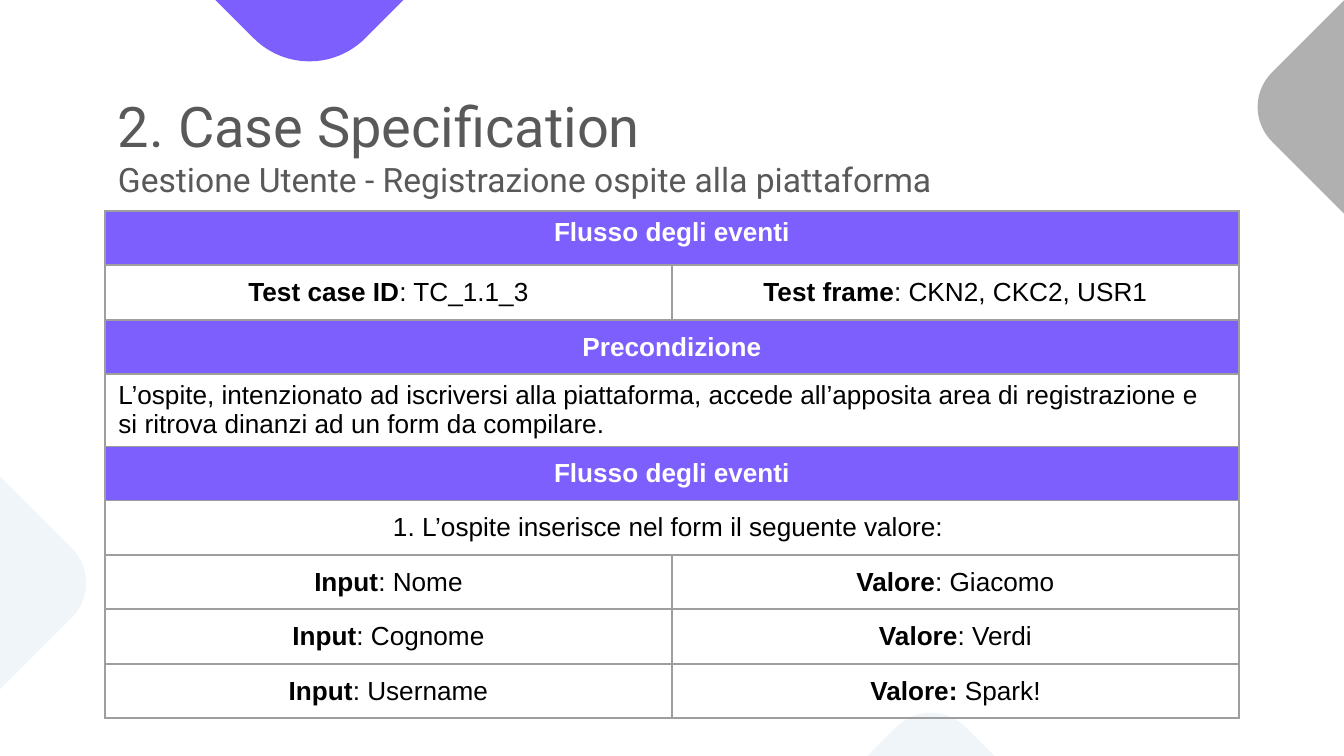
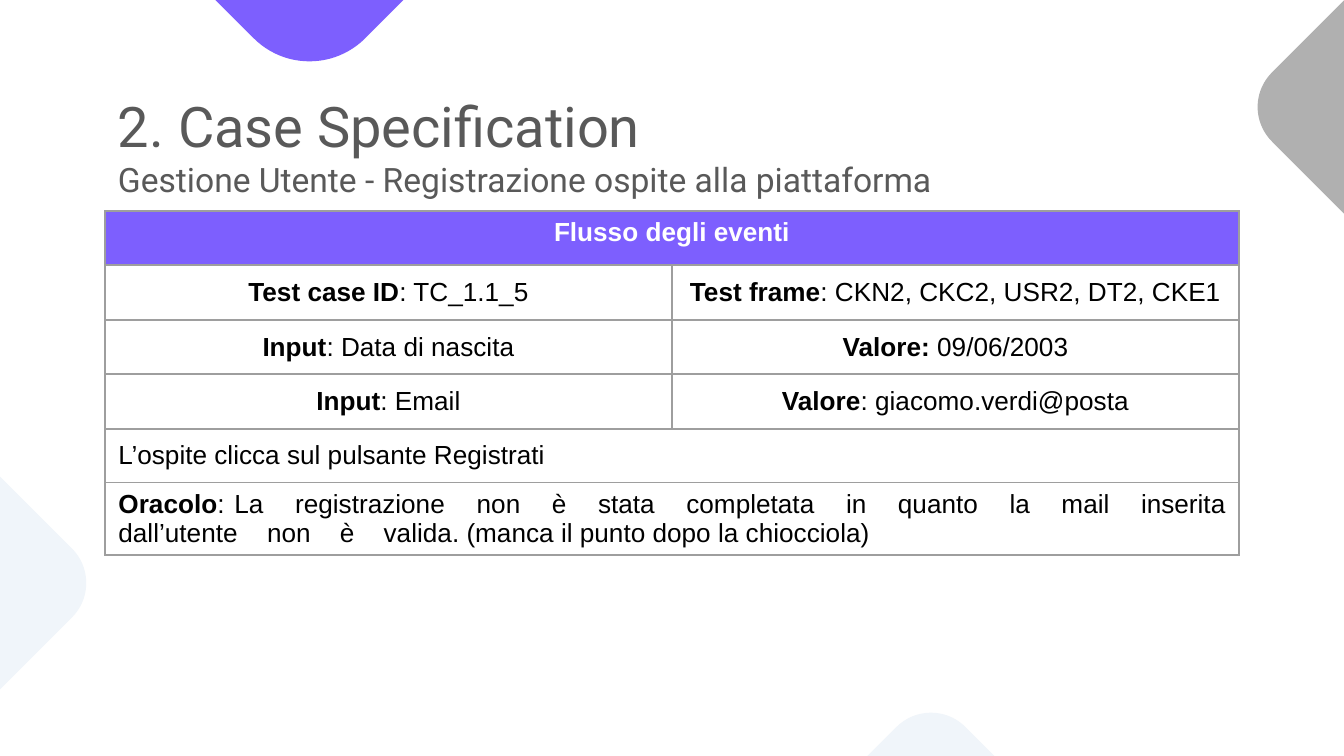
from lxml.etree import SubElement
from pptx import Presentation
from pptx.dml.color import RGBColor
from pptx.enum.shapes import MSO_SHAPE as Preset
from pptx.enum.text import MSO_ANCHOR as Anchor, MSO_AUTO_SIZE as AutoSize, PP_ALIGN as Align
from pptx.oxml.ns import qn
from pptx.util import Pt

SCALE = 914400 / 134.4
PURPLE = RGBColor(0x7D, 0x5F, 0xFE)
GREY = RGBColor(0xB0, 0xB0, 0xB0)
PALE = RGBColor(0xF0, 0xF5, 0xFA)
TITLE_GREY = RGBColor(0x59, 0x59, 0x59)
BORDER = RGBColor(0x9E, 0x9E, 0x9E)
WHITE = RGBColor(0xFF, 0xFF, 0xFF)
BLACK = RGBColor(0, 0, 0)

LEFT, TITLE_TOP, TABLE_TOP = 105, 79, 211
COLUMN_WIDTH = 567
TITLE_LINES = (("2. Case Speciﬁcation ", 30),
               ("Gestione Utente - Registrazione ospite alla piattaforma", 18))
DIAMONDS = ((73, -477, 473, PURPLE), (1298, -39, 292, GREY),
            (-246, 437, 292, PALE), (785, 753, 292, PALE))

BAND, CENTER, PLAIN, JUSTIFIED = "band", "center", "plain", "justified"
ALIGNMENTS = {BAND: Align.CENTER, CENTER: Align.CENTER,
              PLAIN: Align.LEFT, JUSTIFIED: Align.JUSTIFY}
SPACED_WORDS = ("registrazione non è stata completata in quanto la mail inserita "
                "dall’utente non è valida.")

TABLES = (
    (
        (BAND, ("Flusso degli eventi", "")),
        (CENTER, ("Test case ID", ": TC_1.1_3"), ("Test frame", ": CKN2, CKC2, USR1")),
        (BAND, ("Precondizione", "")),
        (PLAIN, ("", "L’ospite, intenzionato ad iscriversi alla piattaforma, accede all’apposita "
                     "area di registrazione e si ritrova dinanzi ad un form da compilare.")),
        (BAND, ("Flusso degli eventi", "")),
        (CENTER, ("", "1. L’ospite inserisce nel form il seguente valore: ")),
        (CENTER, ("Input", ": Nome"), ("Valore", ": Giacomo")),
        (CENTER, ("Input", ": Cognome"), ("Valore", ": Verdi")),
        (CENTER, ("Input", ": Username"), ("Valore: ", "Spark!")),
    ),
    (
        (BAND, ("Flusso degli eventi", "")),
        (CENTER, ("Test case ID", ": TC_1.1_5"), ("Test frame", ": CKN2, CKC2, USR2, DT2, CKE1")),
        (CENTER, ("Input", ": Data di nascita"), ("Valore: ", "09/06/2003")),
        (CENTER, ("Input", ": Email"), ("Valore", ": giacomo.verdi@posta")),
        (PLAIN, ("", "L’ospite clicca sul pulsante Registrati")),
        (JUSTIFIED, ("Oracolo", ": La")),
    ),
)


def px(length):
    return round(length * SCALE)


def add_run(paragraph, text, bold=False):
    run = paragraph.add_run()
    run.text = text
    run.font.bold = bold
    return run


presentation = Presentation()
presentation.slide_width, presentation.slide_height = px(1344), px(756)
layout = presentation.slide_layouts[5]
slides = [presentation.slides.add_slide(layout) for _ in TABLES]

for left, top, side, color in DIAMONDS:
    diamond = slides[0].shapes.add_shape(Preset.ROUNDED_RECTANGLE, px(left), px(top), px(side), px(side))
    diamond.rotation = 315
    diamond.shadow.inherit = False
    diamond.fill.solid()
    diamond.fill.fore_color.rgb = color
    diamond.line.fill.background()
    layout.shapes.element.insert(2, diamond.element)

for slide, rows in zip(slides, TABLES):
    title = slide.shapes.title
    title.left, title.top = px(LEFT), px(TITLE_TOP)
    title.width, title.height = px(2 * COLUMN_WIDTH), px(TABLE_TOP - TITLE_TOP)
    frame = title.text_frame
    frame.auto_size = AutoSize.NONE
    frame.word_wrap = True
    frame.vertical_anchor = Anchor.TOP
    frame.margin_left = frame.margin_top = frame.margin_right = frame.margin_bottom = px(13)
    paragraph = frame.paragraphs[0]
    paragraph.alignment = Align.LEFT
    paragraph.font.name = "Roboto"
    paragraph.font.color.rgb = TITLE_GREY
    for number, (text, size) in enumerate(TITLE_LINES):
        if number:
            paragraph.add_line_break()
            line_break = paragraph._p.find(qn("a:br"))
            SubElement(line_break, qn("a:rPr"), sz="3000")
        run = add_run(paragraph, text)
        run.font.size = Pt(size)
        run.font.name = "Roboto"
        run.font.color.rgb = TITLE_GREY

    table = slide.shapes.add_table(len(rows), 2, px(LEFT), px(TABLE_TOP),
                                   px(2 * COLUMN_WIDTH), px(54 * len(rows))).table
    table.first_row = table.horz_banding = False
    for column in table.columns:
        column.width = px(COLUMN_WIDTH)

    for row_index, (style, *texts) in enumerate(rows):
        table.rows[row_index].height = px(54 + row_index % 2)
        if len(texts) == 1:
            table.cell(row_index, 0).merge(table.cell(row_index, 1))
        for column_index in range(2):
            cell = table.cell(row_index, column_index)
            if style == BAND:
                cell.fill.solid()
                cell.fill.fore_color.rgb = PURPLE
            else:
                cell.fill.background()
            cell.vertical_anchor = Anchor.MIDDLE if row_index else Anchor.TOP
            properties = cell._tc.get_or_add_tcPr()
            for position, side in enumerate(("a:lnL", "a:lnR", "a:lnT", "a:lnB")):
                border = SubElement(properties, qn(side), w=str(Pt(0.75)))
                fill = SubElement(border, qn("a:solidFill"))
                SubElement(fill, qn("a:srgbClr"), val=str(BORDER))
                properties.insert(position, border)

        for column_index, (bold_text, plain_text) in enumerate(texts):
            paragraph = table.cell(row_index, column_index).text_frame.paragraphs[0]
            paragraph.alignment = ALIGNMENTS[style]
            paragraph.font.size = Pt(14)
            paragraph.font.name = "Arial"
            if bold_text:
                add_run(paragraph, bold_text, True)
            if plain_text:
                add_run(paragraph, plain_text)
            if style == JUSTIFIED:
                for word in SPACED_WORDS.split():
                    gap = add_run(paragraph, " ")
                    gap.font._element.set("spc", "1170")
                    add_run(paragraph, word)
                add_run(paragraph, " (manca il punto dopo la chiocciola)")
            for run in paragraph.runs:
                run.font.size = Pt(14)
                run.font.name = "Arial"
                run.font.color.rgb = WHITE if style == BAND else BLACK

presentation.save("out.pptx")
